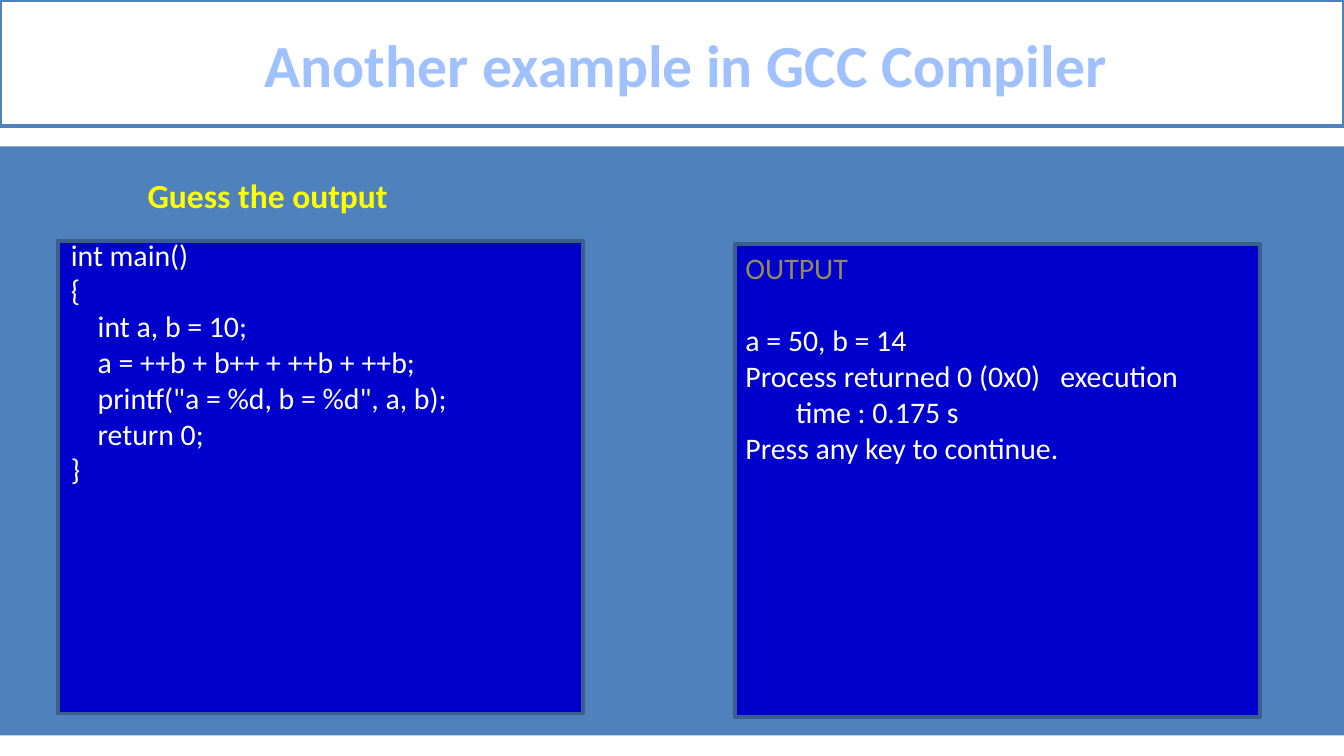
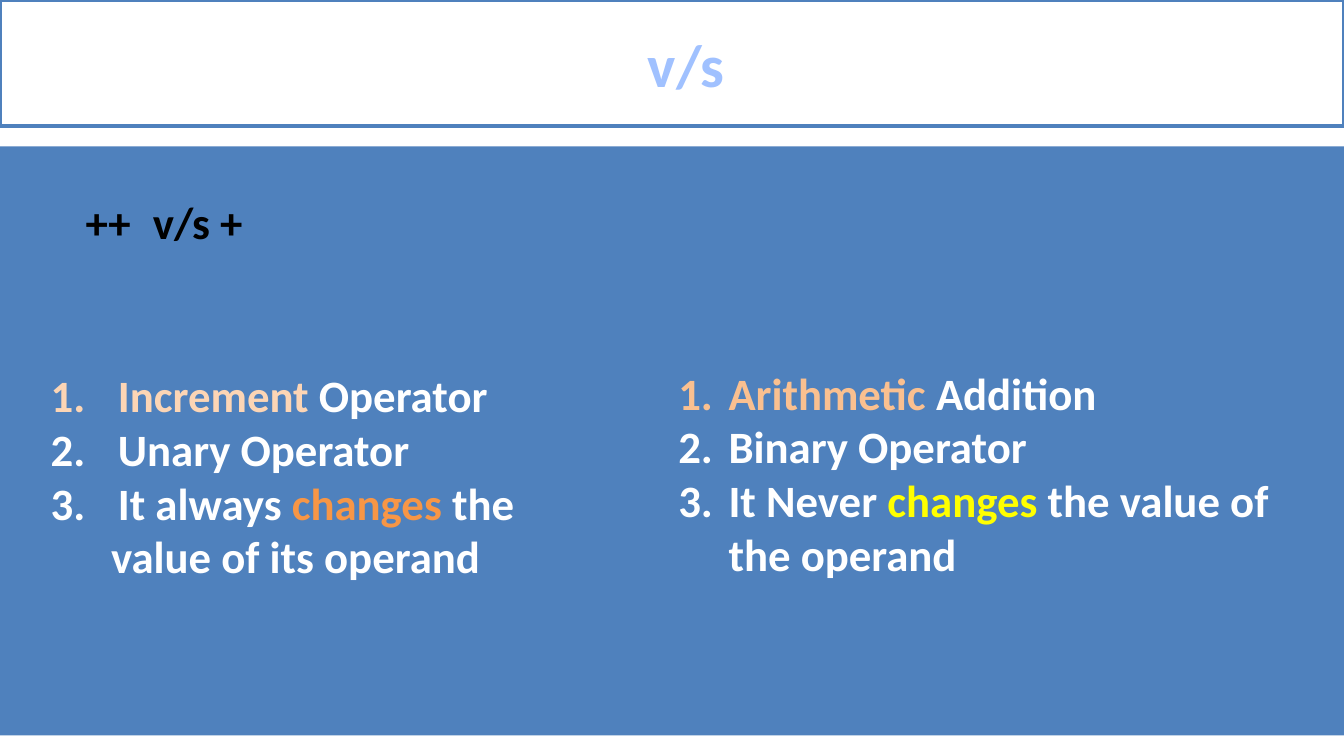
from dataclasses import dataclass

from lxml.etree import SubElement
from pptx import Presentation
from pptx.dml.color import RGBColor
from pptx.enum.shapes import MSO_SHAPE as Shape
from pptx.enum.text import MSO_ANCHOR as Anchor, MSO_AUTO_SIZE as Fit, PP_ALIGN as Align
from pptx.oxml.ns import qn
from pptx.util import Cm, Pt

FONT = "Calibri"
WIDE, HIGH = 25.4, 14.29
BLUE, NAVY, EDGE = "4F81BD", "0000CC", "3A5F8C"
WHITE, BLACK, YELLOW, SKY = "FFFFFF", "000000", "FFFF00", "A0C1FF"
PEACH, APRICOT, ORANGE, KHAKI = "FCD5B5", "FAC090", "F79646", "948A54"
PANEL = (9.93, 8.94)
HANG, WIDE_HANG = 0.95, 1.27


@dataclass
class Para:
    runs: list
    left: float = 0
    hang: float = 0
    number: bool = False
    gap: float = 0
    tabs: tuple = ()
    align: Align = Align.LEFT


CODE = [
    "int main()",
    "{",
    "    int a, b = 10;",
    "    a = ++b + b++ + ++b + ++b;",
    '    printf("a = %d, b = %d", a, b);',
    "    return 0;",
    "}",
]
# text, colour, points of space before
OUTPUT = [
    ("OUTPUT", KHAKI, 0),
    ("a = 50, b = 14", WHITE, 19.5),
    ("Process returned 0 (0x0)   execution time : 0.175 s", WHITE, 0),
    ("Press any key to continue.", WHITE, 0),
]
HEADS = "\t++\tv/s\t+"
HEAD_TABS = (2.54, 10.16, 17.78)
UNARY = [
    [("Increment", PEACH), (" Operator", WHITE)],
    [("Unary Operator", WHITE)],
    [("It always ", WHITE), ("changes", ORANGE), (" the", WHITE)],
]
UNARY_END = [("value of its operand", WHITE)]
BINARY = [
    [("Arithmetic", APRICOT), (" Addition", WHITE)],
    [("Binary Operator", WHITE)],
    [("It Never ", WHITE), ("changes", YELLOW), (" the value of the operand", WHITE)],
]


def rgb(color):
    return RGBColor.from_string(color)


def write(frame, paras, size, bold):
    for i, para in enumerate(paras):
        p = frame.paragraphs[0] if i == 0 else frame.add_paragraph()
        p.alignment = para.align
        if para.gap:
            p.space_before = Pt(para.gap)
        props = p._p.get_or_add_pPr()
        props.set("marL", str(Cm(para.left)))
        props.set("indent", str(Cm(-para.hang)))
        if para.number:
            SubElement(props, qn("a:buFont"), typeface="+mj-lt")
            SubElement(props, qn("a:buAutoNum"), type="arabicPeriod")
        if para.tabs:
            stops = SubElement(props, qn("a:tabLst"))
            for pos in para.tabs:
                SubElement(stops, qn("a:tab"), pos=str(Cm(pos)), algn="l")
        for text, color in para.runs:
            run = p.add_run()
            run.text = text
            font = run.font
            font.name, font.size, font.bold = FONT, Pt(size), bold
            font.color.rgb = rgb(color)


def rect(slide, x, y, w, h, fill, line=None):
    box = slide.shapes.add_shape(Shape.RECTANGLE, Cm(x), Cm(y), Cm(w), Cm(h))
    box.shadow.inherit = False
    box.fill.solid()
    box.fill.fore_color.rgb = rgb(fill)
    if line:
        box.line.color.rgb = rgb(line)
        box.line.width = Pt(2)
    else:
        box.line.fill.background()
    return box


def label(slide, x, y, w, h, paras, size, bold=False):
    box = slide.shapes.add_textbox(Cm(x), Cm(y), Cm(w), Cm(h))
    frame = box.text_frame
    frame.word_wrap = True
    frame.auto_size = Fit.SHAPE_TO_FIT_TEXT
    write(frame, paras, size, bold)


def start(deck, title):
    """Add a slide with its blue body band and title bar."""
    slide = deck.slides.add_slide(deck.slide_layouts[6])
    rect(slide, 0, 2.77, WIDE, 11.13, BLUE)
    frame = rect(slide, 0, 0, WIDE, 2.39, WHITE, BLUE).text_frame
    frame.word_wrap = True
    frame.vertical_anchor = Anchor.MIDDLE
    write(frame, [Para([(title, SKY)], left=0.53, align=Align.CENTER)], 32, True)
    return slide


def numbered(items, hang):
    return [Para(runs, hang, hang, number=True) for runs in items]


def example(deck):
    slide = start(deck, "Another example in GCC Compiler")
    code = [Para([(line, WHITE)], HANG, HANG) for line in CODE]
    result = [Para([(text, color)], HANG, HANG, gap=gap) for text, color, gap in OUTPUT]
    rect(slide, 1.09, 4.55, *PANEL, NAVY, EDGE)
    label(slide, 1.09, 4.34, 9.83, 5.05, code, 16)
    label(slide, 0, 3.18, WIDE, 1.02, [Para([("Guess the output", YELLOW)], 2.54)], 18, True)
    rect(slide, 13.89, 4.62, *PANEL, NAVY, EDGE)
    label(slide, 13.84, 4.6, 9.83, 4.37, result, 16)


def versus(deck):
    slide = start(deck, "v/s")
    unary = numbered(UNARY, WIDE_HANG) + [Para(UNARY_END, left=1.14)]
    label(slide, 0.71, 6.83, 10.77, 4.37, unary, 24, True)
    label(slide, 0.1, 3.56, 25.02, 1.27, [Para([(HEADS, BLACK)], tabs=HEAD_TABS)], 24, True)
    label(slide, 12.57, 6.78, 11.66, 4.37, numbered(BINARY, HANG), 24, True)


def main():
    deck = Presentation()
    deck.slide_width, deck.slide_height = Cm(WIDE), Cm(HIGH)
    example(deck)
    versus(deck)
    deck.save("out.pptx")


if __name__ == "__main__":
    main()
